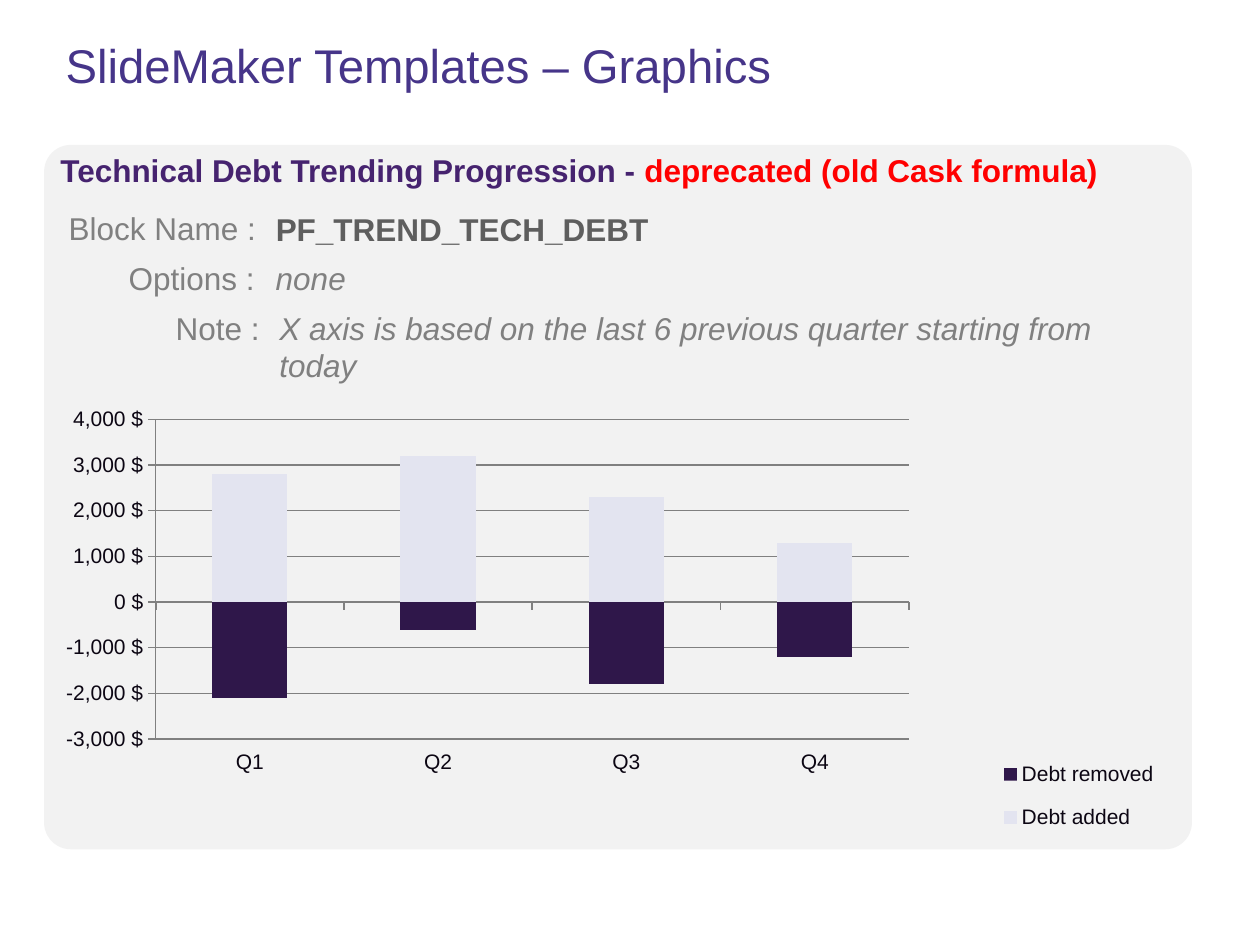
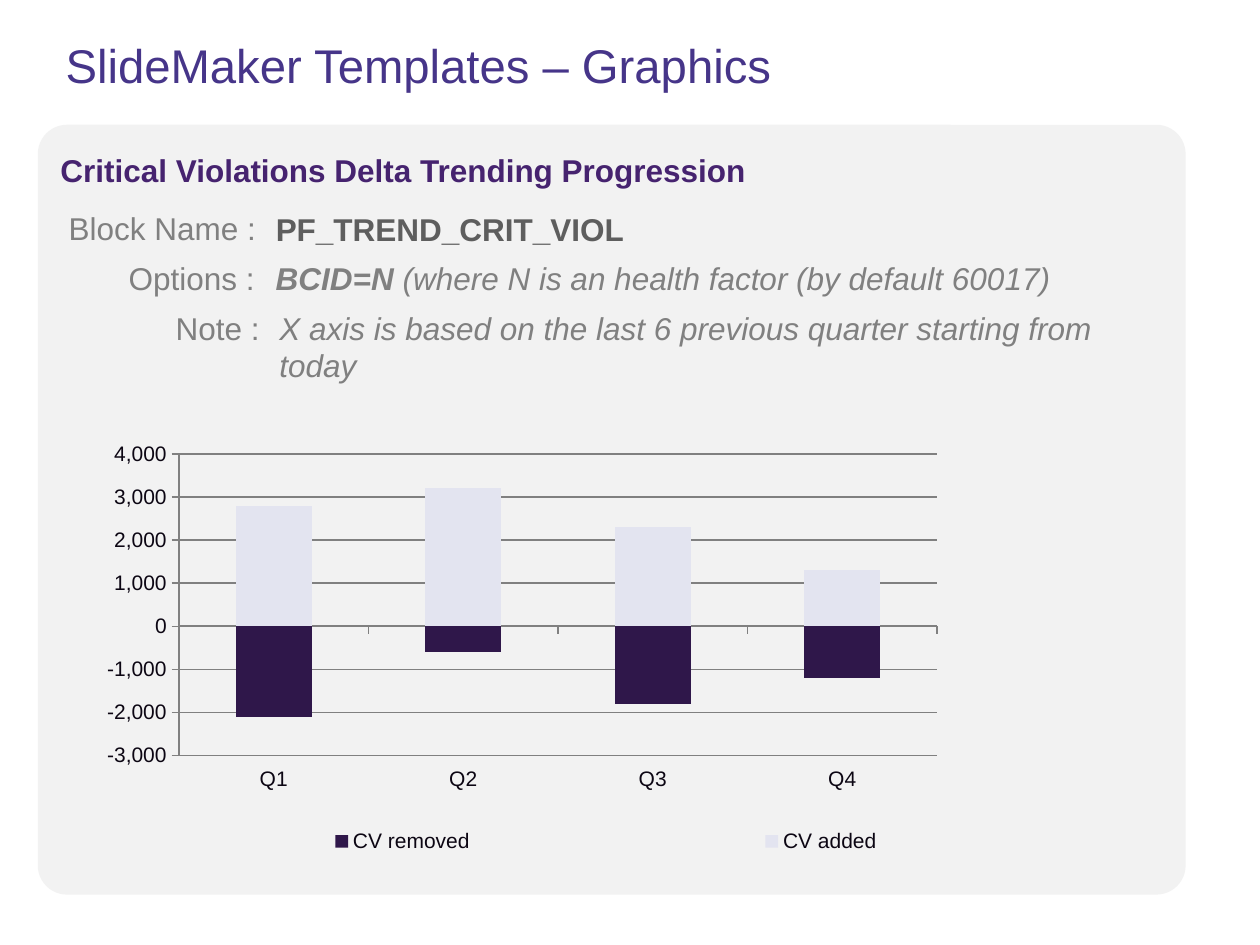
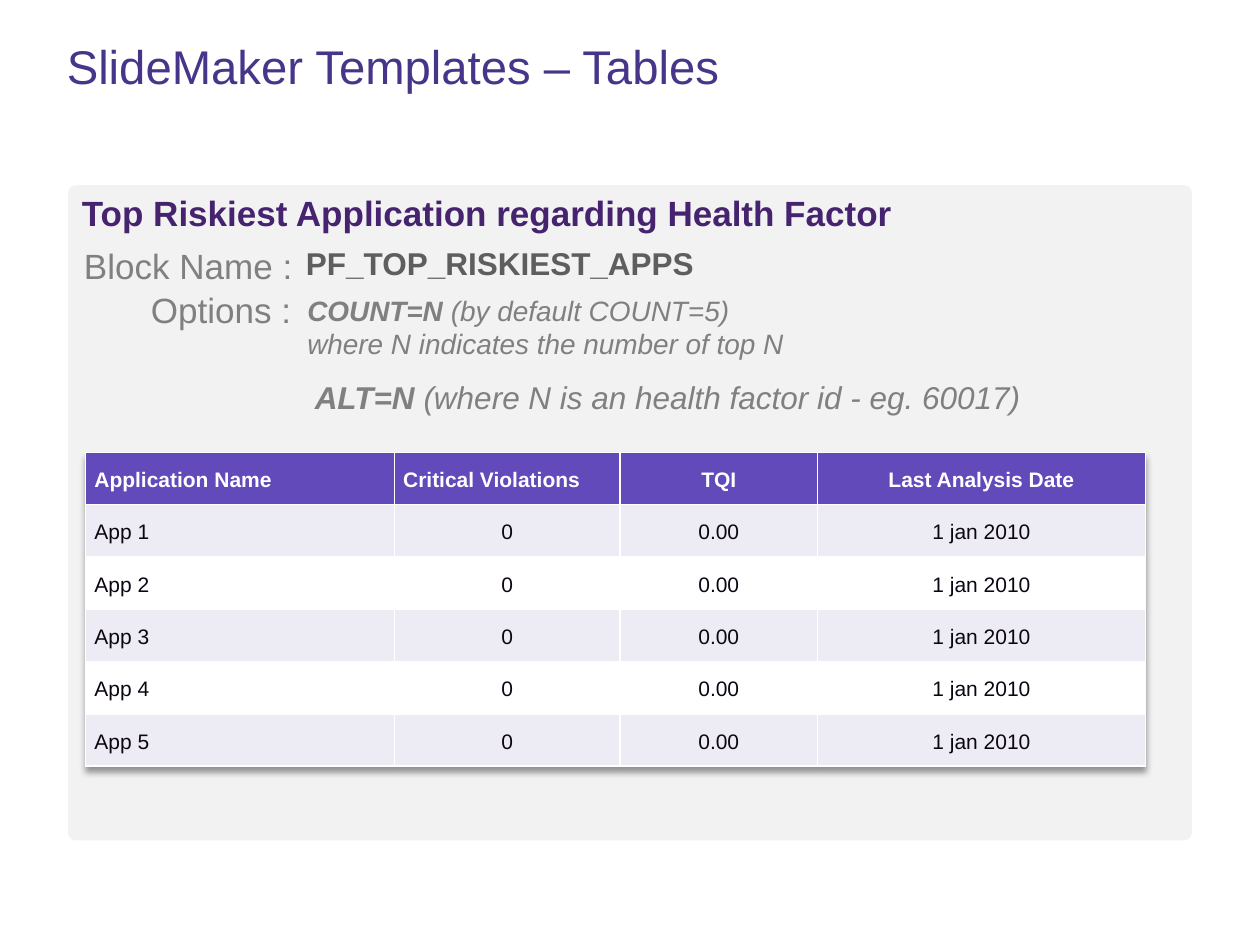
from dataclasses import dataclass

from lxml import etree
from pptx import Presentation
from pptx import util as u
from pptx.chart import data as chart_data
from pptx.dml.color import RGBColor
from pptx.enum import chart as charts, shapes, text
from pptx.oxml import parse_xml
from pptx.oxml.ns import nsdecls, qn

COLUMNS, ROWS = 100, 75
WIDTH, HEIGHT = u.Inches(10), u.Inches(7.5)
FONT = "Arial"
TITLE, HEADING, NAME, GREY = "463589", "46236F", "5E5E5E", "808080"
WARNING, INK, PANEL, WHITE = "FF0000", "0C0613", "F2F2F2", "FFFFFF"
HEADER_FILL, BAND_FILL = "624ABB", "EDEBF4"
REMOVED, ADDED = "2F174A", "E3E4F0"
PLAIN = {"color": GREY}
ITALIC = {"color": GREY, "italic": True}
OPTION = {"color": GREY, "italic": True, "bold": True}


@dataclass
class Box:
    """An area in grid columns and rows of the slide."""
    left: float
    top: float
    width: float
    height: float

    def inner(self, left, top, width, height):
        return Box(self.left + left, self.top + top, width, height)

    def lengths(self):
        across, down = WIDTH / COLUMNS, HEIGHT / ROWS
        return [round(n) for n in (self.left * across, self.top * down,
                                   self.width * across, self.height * down)]


def rgb(value):
    return RGBColor.from_string(value)


def style(font, size, color, bold=False, italic=False):
    font.name, font.size = FONT, u.Pt(size)
    font.bold, font.italic = bold, italic
    font.color.rgb = rgb(color)


def add_title(page, wording, box):
    title = page.shapes.title
    title.left, title.top, title.width, title.height = box.lengths()
    frame = title.text_frame
    frame.text = wording
    frame.auto_size = text.MSO_AUTO_SIZE.NONE
    frame.vertical_anchor = text.MSO_ANCHOR.MIDDLE
    para = frame.paragraphs[0]
    para.alignment, para.line_spacing = text.PP_ALIGN.LEFT, 0.9
    style(para.runs[0].font, 27, TITLE)


def add_panel(page, box, roundness):
    panel = page.shapes.add_shape(shapes.MSO_SHAPE.ROUNDED_RECTANGLE, *box.lengths())
    panel.adjustments[0] = roundness
    panel.shadow.inherit = False
    panel.fill.solid()
    panel.fill.fore_color.rgb = rgb(PANEL)
    panel.line.fill.background()


def add_text(page, box, lines, size, inset=0.1, label=False):
    """Write lines, each a list of (wording, style) spans."""
    frame = page.shapes.add_textbox(*box.lengths()).text_frame
    frame.word_wrap = not label
    frame.auto_size = text.MSO_AUTO_SIZE.SHAPE_TO_FIT_TEXT
    frame.margin_left = frame.margin_right = u.Inches(inset)
    for index, spans in enumerate(lines):
        para = frame.add_paragraph() if index else frame.paragraphs[0]
        para.alignment = text.PP_ALIGN.RIGHT if label else text.PP_ALIGN.LEFT
        for wording, look in spans:
            span = para.add_run()
            span.text = wording
            style(span.font, size, **look)


def add_heading(page, area, spans, size):
    add_text(page, area.inner(0, 0, 89.1, size / 4.5),
             [[(wording, {"color": color, "bold": True}) for wording, color in spans]],
             size, inset=0.2)


def add_label(page, area, wording, place, size):
    add_text(page, area.inner(*place), [[(wording, PLAIN)]], size, label=True)


def add_block_name(page, area, wording, place):
    add_text(page, area.inner(*place),
             [[(wording, {"color": NAME, "bold": True})]], 18)


def add_trend_notes(page, area, heading, block_name, options):
    add_heading(page, area, heading, 18)
    add_label(page, area, "Block Name :", (1.5, 4.6, 17, 4), 18)
    add_block_name(page, area, block_name, (18.1, 4.7, 72.5, 4))
    add_label(page, area, "Options :", (6.3, 8.6, 12.1, 4), 18)
    add_text(page, area.inner(18.1, 8.6, 67.7, 4), [options], 18)
    add_label(page, area, "Note :", (10, 12.5, 8.8, 4), 18)
    add_text(page, area.inner(18.4, 12.5, 70.6, 7.1),
             [[("X axis is based on the last 6 previous quarter starting from today",
                ITALIC)]], 18)


def add_layout(parent, before, shares, inner=False):
    """Place a chart part by shares of the chart's width and height."""
    for old in parent.findall(qn("c:layout")):
        parent.remove(old)
    layout = etree.Element(qn("c:layout"))
    manual = etree.SubElement(layout, qn("c:manualLayout"))
    settings = [("layoutTarget", "inner")] if inner else []
    settings += [("xMode", "edge"), ("yMode", "edge"), *zip("xywh", shares)]
    for tag, value in settings:
        etree.SubElement(manual, qn(f"c:{tag}")).set("val", str(value))
    before.addprevious(layout) if inner else before.addnext(layout)


def draw_line(line, width):
    line.color.rgb = rgb(GREY)
    line.width = u.Pt(width)


def add_trend_chart(page, box, subject, number_format, plot_shares, legend_shares):
    content = chart_data.CategoryChartData(number_format=number_format)
    content.categories = ["Q1", "Q2", "Q3", "Q4"]
    content.add_series(f"{subject} removed", (-2100, -600, -1800, -1200))
    content.add_series(f"{subject} added", (2800, 3200, 2300, 1300))
    chart = page.shapes.add_chart(charts.XL_CHART_TYPE.COLUMN_CLUSTERED,
                                  *box.lengths(), content).chart
    style(chart.font, 12, INK)
    chart.has_title = False

    plot = chart.plots[0]
    plot.gap_width, plot.overlap, plot.vary_by_categories = 150, 100, False
    for series, color in zip(plot.series, (REMOVED, ADDED)):
        series.invert_if_negative = False
        series.format.fill.solid()
        series.format.fill.fore_color.rgb = rgb(color)

    quarters, values = chart.category_axis, chart.value_axis
    quarters.tick_label_position = charts.XL_TICK_LABEL_POSITION.LOW
    quarters.major_tick_mark = charts.XL_TICK_MARK.OUTSIDE
    draw_line(quarters.format.line, 1)
    values.major_tick_mark = charts.XL_TICK_MARK.CROSS
    values.minimum_scale, values.maximum_scale, values.major_unit = -3000, 4000, 1000
    values.tick_labels.number_format = number_format
    values.tick_labels.number_format_is_linked = False
    values.has_major_gridlines = True
    draw_line(values.format.line, 0.75)
    draw_line(values.major_gridlines.format.line, 0.75)

    chart.has_legend = True
    legend = chart.legend
    legend.position = charts.XL_LEGEND_POSITION.RIGHT
    legend.include_in_layout = False
    bars = chart.element.find(f".//{qn('c:barChart')}")
    add_layout(bars.getparent(), bars, plot_shares, inner=True)
    marker = chart.element.find(f".//{qn('c:legendPos')}")
    add_layout(marker.getparent(), marker, legend_shares)


def add_risk_notes(page, area):
    add_heading(page, area,
                [("Top Riskiest Application regarding Health Factor", HEADING)], 20)
    add_label(page, area, "Block Name :", (1, 4.2, 18.7, 4.4), 20)
    add_block_name(page, area, "PF_TOP_RISKIEST_APPS", (18.8, 4.2, 72.5, 4))
    add_label(page, area, "Options :", (6.4, 7.7, 13.2, 4.4), 20)
    add_text(page, area.inner(18.9, 8.1, 72.5, 6.4),
             [[("COUNT=N", OPTION), (" (by default COUNT=5)", ITALIC)],
              [("where N indicates the number of top N", ITALIC)]], 16)
    add_text(page, area.inner(19.5, 14.8, 67.7, 4),
             [[("ALT=N", OPTION),
               (" (where N is an health factor id - eg. 60017)", ITALIC)]], 18)


def add_table_shadow(table):
    table._tbl.tblPr.insert(0, parse_xml(
        f'<a:effectLst {nsdecls("a")}><a:outerShdw blurRad="50800" dist="38100" '
        'dir="5400000" algn="t" rotWithShape="0"><a:srgbClr val="000000">'
        '<a:alpha val="40000"/></a:srgbClr></a:outerShdw></a:effectLst>'))


def add_risk_table(page, box):
    rows = [("Application Name", "Critical Violations", "TQI", "Last Analysis Date")]
    rows += [(f"App {number}", "0", "0.00", "1 jan 2010") for number in range(1, 6)]
    table = page.shapes.add_table(len(rows), len(rows[0]), *box.lengths()).table
    add_table_shadow(table)
    for column, share in zip(table.columns, (24.5, 17.9, 15.7, 26)):
        column.width = round(WIDTH * share / COLUMNS)
    for row_index, row in enumerate(rows):
        header = row_index == 0
        fill = HEADER_FILL if header else BAND_FILL if row_index % 2 else WHITE
        for column_index, wording in enumerate(row):
            cell = table.cell(row_index, column_index)
            cell.text = wording
            cell.fill.solid()
            cell.fill.fore_color.rgb = rgb(fill)
            cell.vertical_anchor = text.MSO_ANCHOR.MIDDLE
            cell.margin_left = cell.margin_right = u.Inches(0.07)
            cell.margin_top = cell.margin_bottom = 0
            para = cell.text_frame.paragraphs[0]
            para.line_spacing = 1.15
            left = column_index == 0 or (header and column_index == 1)
            para.alignment = text.PP_ALIGN.LEFT if left else text.PP_ALIGN.CENTER
            style(para.runs[0].font, 12, WHITE if header else INK, bold=header)


def add_page(deck, topic, title_box, panel_box, roundness):
    page = deck.slides.add_slide(deck.slide_layouts[5])
    add_title(page, f"SlideMaker Templates – {topic}", title_box)
    add_panel(page, panel_box, roundness)
    return page


def main():
    deck = Presentation()
    deck.slide_width, deck.slide_height = WIDTH, HEIGHT
    title_box = Box(4.2, 0.1, 91.5, 10.6)
    trend_area = Box(2.8, 11.5, 91, 20)

    page = add_page(deck, "Graphics", title_box, Box(3.5, 11.5, 91.1, 55.9), 0.038)
    add_trend_notes(page, trend_area,
                    [("Technical Debt Trending Progression - ", HEADING),
                     ("deprecated (old Cask formula)", WARNING)],
                    "PF_TREND_TECH_DEBT", [("none", ITALIC)])
    add_trend_chart(page, Box(3.8, 29.6, 93, 42.5), "Debt", '#,##0\\ "$"',
                    (0.092, 0.087, 0.643, 0.597), (0.81, 0.69, 0.14, 0.2))

    page = add_page(deck, "Graphics", title_box, Box(3, 9.9, 91.1, 61.1), 0.038)
    add_trend_notes(page, trend_area,
                    [("Critical Violations Delta Trending Progression", HEADING)],
                    "PF_TREND_CRIT_VIOL",
                    [("BCID=N", OPTION),
                     (" (where N is an health factor (by default 60017)", ITALIC)])
    add_trend_chart(page, Box(2.8, 33.9, 90.6, 40.1), "CV", "#,##0",
                    (0.126, 0.053, 0.664, 0.597), (0.01, 0.77, 0.98, 0.1))

    page = add_page(deck, "Tables", title_box.inner(0.1, 0.1, 91.5, 10.6),
                    Box(5.4, 14.7, 89.2, 52), 0.012)
    add_risk_notes(page, Box(4.5, 14.7, 92, 19))
    add_risk_table(page, Box(6.8, 35.9, 84.2, 24.9))
    deck.save("out.pptx")


if __name__ == "__main__":
    main()
